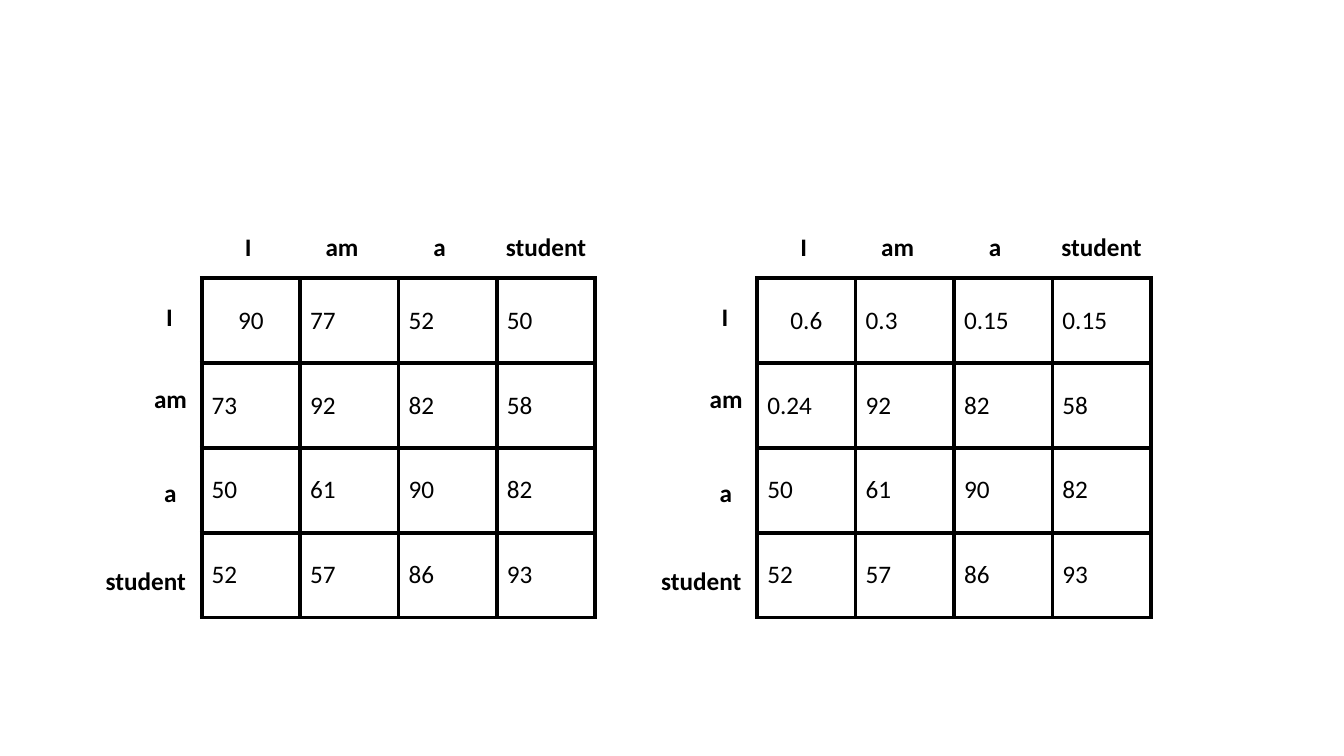
from lxml.etree import SubElement
from pptx import Presentation
from pptx.dml.color import RGBColor
from pptx.enum.text import MSO_ANCHOR, MSO_AUTO_SIZE, PP_ALIGN
from pptx.oxml.ns import qn
from pptx.util import Inches, Pt

COLORS = {"ink": "000000", "paper": "FFFFFF"}
FONT = "Calibri"
WORDS = ["I", "am", "a", "student"]
COLUMN_LABELS = [(0.33, 0.61), (1.13, 0.61), (2.2, 0.61), (2.92, 1.06)]
ROW_LABELS = [(-0.45, 2.94, 0.34), (-0.57, 3.75, 0.57), (-0.47, 4.69, 0.36), (-1.05, 5.56, 1.05)]
LOWER_SCORES = [[50, 61, 90, 82], [52, 57, 86, 93]]
RAW_SCORES = [[90, 77, 52, 50], [73, 92, 82, 58], *LOWER_SCORES]
WEIGHTED_SCORES = [[0.6, 0.3, 0.15, 0.15], [0.24, 92, 82, 58], *LOWER_SCORES]
TABLE_TOP, COLUMN_WIDTH, ROW_HEIGHT = 2.76, 0.976, 0.842


def write_text(frame, text, bold=False, align=PP_ALIGN.LEFT, color="ink"):
    """Write one formatted line into a text frame."""
    para = frame.paragraphs[0]
    para.alignment = align
    span = para.add_run()
    span.text = text
    span.font.name = FONT
    span.font.size = Pt(18)
    span.font.bold = bold
    span.font.color.rgb = RGBColor.from_string(COLORS[color])


def add_label(page, text, left, top, width):
    """Add a bold word beside a score table."""
    box = page.shapes.add_textbox(Inches(left), Inches(top), Inches(width), Inches(0.4))
    box.text_frame.word_wrap = True
    box.text_frame.auto_size = MSO_AUTO_SIZE.SHAPE_TO_FIT_TEXT
    write_text(box.text_frame, text, bold=True)


def add_borders(cell):
    """Draw solid lines on all four sides of a cell."""
    properties = cell._tc.get_or_add_tcPr()
    for side in ("lnL", "lnR", "lnT", "lnB"):
        line = SubElement(properties, qn(f"a:{side}"), w=str(Pt(3)))
        fill = SubElement(line, qn("a:solidFill"))
        SubElement(fill, qn("a:srgbClr"), val=COLORS["ink"])


def add_score_table(page, left, scores):
    """Add a square table of scores with its first value centred."""
    size = len(scores)
    table = page.shapes.add_table(
        size, size, Inches(left), Inches(TABLE_TOP),
        Inches(size * COLUMN_WIDTH), Inches(size * ROW_HEIGHT),
    ).table
    table.first_row = False
    table.horz_banding = False
    for column in table.columns:
        column.width = Inches(COLUMN_WIDTH)
    for row in table.rows:
        row.height = Inches(ROW_HEIGHT)
    for row_index, values in enumerate(scores):
        for column_index, value in enumerate(values):
            cell = table.cell(row_index, column_index)
            add_borders(cell)
            cell.fill.solid()
            cell.fill.fore_color.rgb = RGBColor.from_string(COLORS["paper"])
            cell.vertical_anchor = MSO_ANCHOR.MIDDLE
            is_first = row_index == column_index == 0
            align = PP_ALIGN.CENTER if is_first else PP_ALIGN.LEFT
            write_text(cell.text_frame, str(value), align=align)


def add_matrix(page, left, scores):
    """Add a score table with its column and row words."""
    add_score_table(page, left, scores)
    for word, (offset, width) in zip(WORDS, COLUMN_LABELS):
        add_label(page, word, left + offset, 2.25, width)
    for word, (offset, top, width) in zip(WORDS, ROW_LABELS):
        add_label(page, word, left + offset, top, width)


def main():
    """Build the slide with both matrices."""
    deck = Presentation()
    deck.slide_width = Inches(13.33)
    deck.slide_height = Inches(7.5)
    page = deck.slides.add_slide(deck.slide_layouts[6])
    add_matrix(page, 2, RAW_SCORES)
    add_matrix(page, 7.51, WEIGHTED_SCORES)
    deck.save("out.pptx")


if __name__ == "__main__":
    main()
